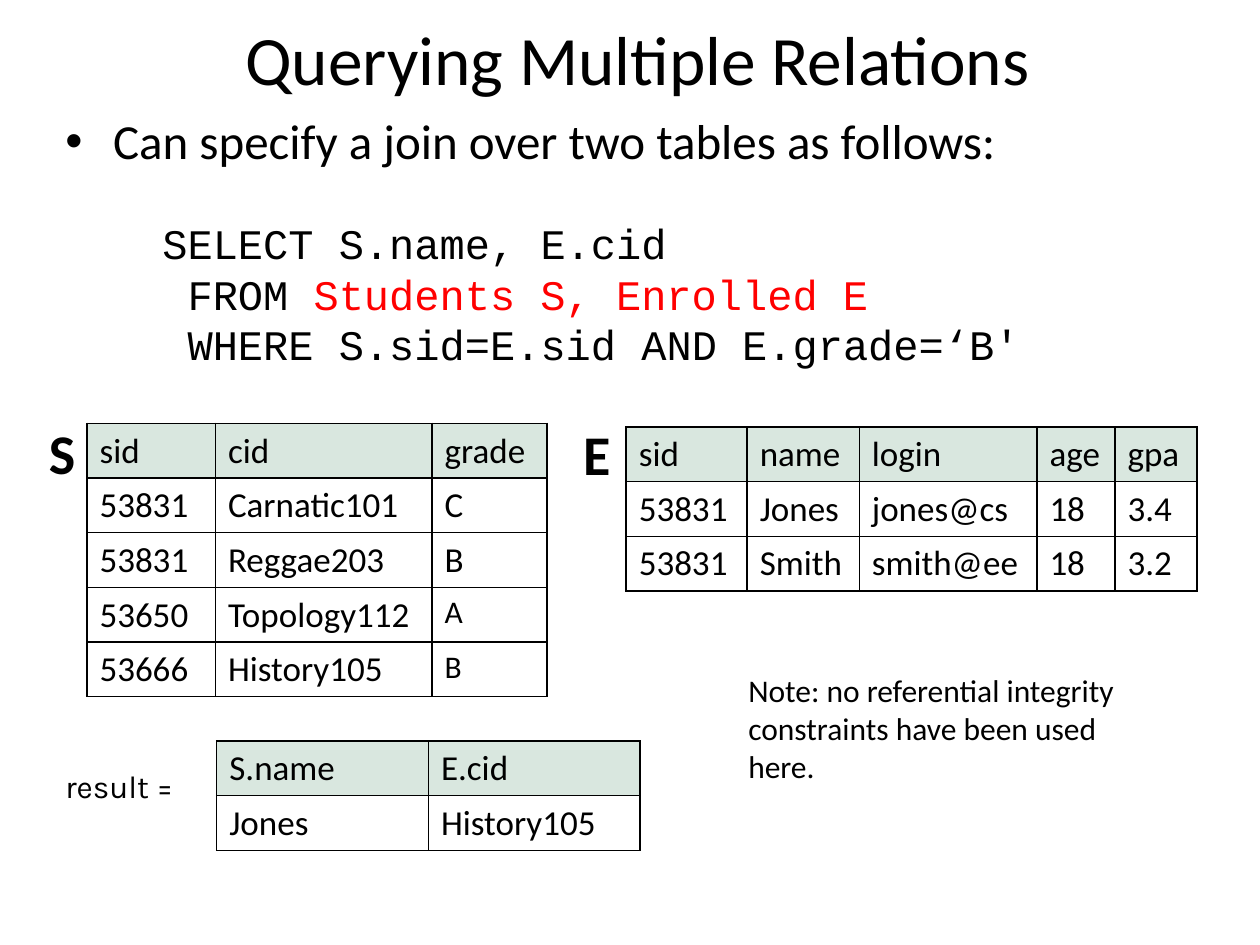
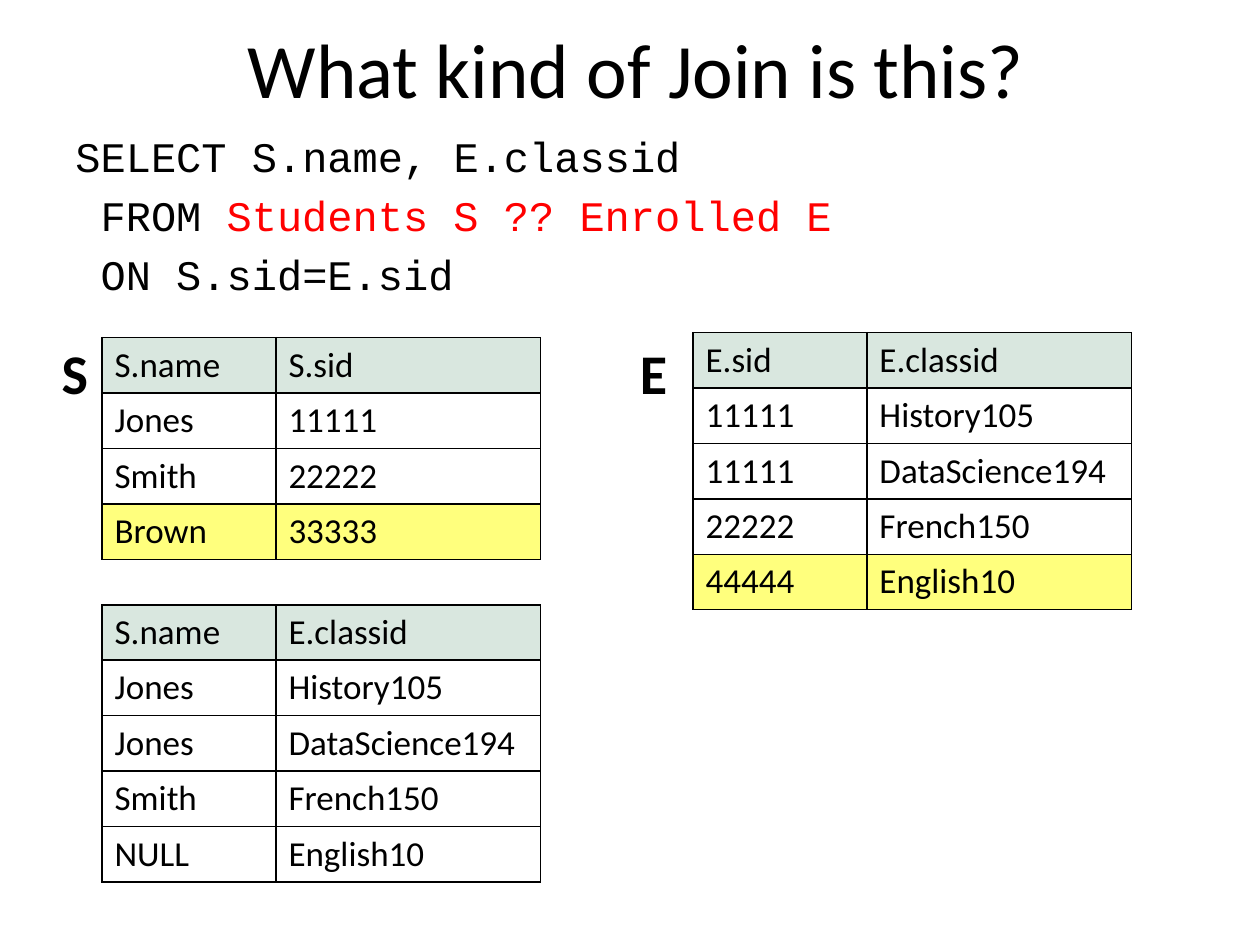
from dataclasses import dataclass

import pptx
import pptx.dml.color
import pptx.enum.text
import pptx.oxml
import pptx.oxml.ns
import pptx.util
from pptx.util import Inches


@dataclass(frozen=True)
class Theme:
    """Colours, fonts and type sizes shared by both slides."""
    ink: str = "000000"
    accent: str = "FF0000"
    header: str = "D9E7DF"
    plain: str = "FFFFFF"
    highlight: str = "FFFF7D"
    font: str = "Calibri"
    code_font: str = "Courier New"
    result_font: str = "Karla"
    bullet_size: float = 28
    code_size: float = 24
    table_size: float = 20
    small_size: float = 18
    label_size: float = 32


def rgb(colour):
    return pptx.dml.color.RGBColor.from_string(colour)


class Deck:
    def __init__(self, theme):
        self.theme = theme
        self.presentation = pptx.Presentation()
        self.presentation.slide_width = Inches(10)
        self.presentation.slide_height = Inches(7.5)
        self.slide = None

    def style(self, paragraph, size, font=None, bold=False):
        paragraph.font.name = font or self.theme.font
        paragraph.font.size = pptx.util.Pt(size)
        paragraph.font.bold = bold
        paragraph.font.color.rgb = rgb(self.theme.ink)

    def add_slide(self, title, box, size):
        layout = self.presentation.slide_layouts.get_by_name("Title Only")
        self.slide = self.presentation.slides.add_slide(layout)
        heading = self.slide.shapes.title
        heading.left, heading.top, heading.width, heading.height = map(Inches, box)
        frame = heading.text_frame
        frame.text = title
        frame.auto_size = pptx.enum.text.MSO_AUTO_SIZE.NONE
        frame.vertical_anchor = pptx.enum.text.MSO_ANCHOR.MIDDLE
        frame.paragraphs[0].alignment = pptx.enum.text.PP_ALIGN.CENTER
        self.style(frame.paragraphs[0], size)

    def text(self, box, lines, size, font=None, bold=False, space_before=0):
        """Each line is a list of (text, colour or None) runs."""
        frame = self.slide.shapes.add_textbox(*map(Inches, box)).text_frame
        frame.word_wrap = True
        for number, line in enumerate(lines):
            paragraph = frame.add_paragraph() if number else frame.paragraphs[0]
            self.style(paragraph, size, font, bold)
            paragraph.space_before = pptx.util.Pt(space_before)
            for content, colour in line:
                run = paragraph.add_run()
                run.text = content
                if colour:
                    run.font.color.rgb = rgb(colour)
        return frame

    def note(self, box, content, font=None):
        self.text(box, [[(content, None)]], self.theme.small_size, font)

    def label(self, left, top, letter):
        self.text((left, top, 0.42, 0.64), [[(letter, None)]],
                  self.theme.label_size, bold=True)

    def bullet(self, box, content):
        size = self.theme.bullet_size
        frame = self.text(box, [[(content, None)]], size, space_before=size / 5)
        properties = frame.paragraphs[0]._p.get_or_add_pPr()
        properties.set("marL", str(Inches(0.38)))
        properties.set("indent", str(-Inches(0.38)))
        for tag, name, value in (("buFont", "typeface", "Arial"), ("buChar", "char", "•")):
            mark = pptx.oxml.ns.qn(f"a:{tag}")
            properties.append(properties.makeelement(mark, {name: value}))

    def query(self, box, select, tables, condition, space_before=0):
        lines = [[(select, None)],
                 [(" FROM ", None), (tables, self.theme.accent)],
                 [(condition, None)]]
        self.text(box, lines, self.theme.code_size, self.theme.code_font,
                  space_before=space_before)

    def border(self, cell):
        properties = cell._tc.get_or_add_tcPr()
        for side in "LRTB":
            properties.append(pptx.oxml.parse_xml(
                f'<a:ln{side} {pptx.oxml.ns.nsdecls("a")} w="12700"><a:solidFill>'
                f'<a:srgbClr val="{self.theme.ink}"/></a:solidFill></a:ln{side}>'))

    def table(self, left, top, widths, height, rows, marked_row=None, small_cells=()):
        """The first row is the header; marked_row is highlighted."""
        table = self.slide.shapes.add_table(
            len(rows), len(widths), Inches(left), Inches(top),
            Inches(sum(widths)), Inches(height)).table
        table.first_row = table.horz_banding = False
        for column, width in zip(table.columns, widths):
            column.width = Inches(width)
        fills = {0: self.theme.header, marked_row: self.theme.highlight}
        for r, row in enumerate(rows):
            for c, value in enumerate(row):
                cell = table.cell(r, c)
                cell.text = value
                cell.margin_bottom = Inches(0.04)
                small = (r, c) in small_cells
                self.style(cell.text_frame.paragraphs[0],
                           self.theme.small_size if small else self.theme.table_size)
                self.border(cell)
                cell.fill.solid()
                cell.fill.fore_color.rgb = rgb(fills.get(r, self.theme.plain))


def multiple_relations(deck):
    deck.add_slide(" Querying Multiple Relations", (0.5, 0.09, 9, 0.74), 39.6)
    deck.bullet((0.42, 0.83, 8.5, 0.6), "Can specify a join over two tables as follows:")
    deck.query((1.19, 1.68, 7.12, 1.31), "SELECT S.name, E.cid",
               "Students S, Enrolled E", " WHERE S.sid=E.sid AND E.grade=‘B'")

    # Query result and remark
    deck.note((0.42, 6.04, 1.37, 0.5), "result =", deck.theme.result_font)
    deck.note((5.84, 5.28, 3.25, 1.01),
              "Note: no referential integrity constraints have been used here.")
    deck.table(1.72, 5.88, (1.68, 1.68), 0.87,
               [("S.name", "E.cid"), ("Jones", "History105")])

    # Joined relations
    deck.table(0.69, 3.36, (1.02, 1.72, 0.91), 2.17,
               [("sid", "cid", "grade"),
                ("53831", "Carnatic101", "C"),
                ("53831", "Reggae203", "B"),
                ("53650", "Topology112", "A"),
                ("53666", "History105", "B")], small_cells={(3, 2), (4, 2)})
    deck.table(4.97, 3.39, (0.96, 0.89, 1.41, 0.62, 0.65), 1.3,
               [("sid", "name", "login", "age", "gpa"),
                ("53831", "Jones", "jones@cs", "18", "3.4"),
                ("53831", "Smith", "smith@ee", "18", "3.2")])
    deck.label(0.29, 3.27, "S")
    deck.label(4.53, 3.28, "E")


def kind_of_join(deck):
    deck.add_slide("What kind of Join is this?", (0.81, 0.08, 8.48, 0.91), 44)
    deck.query((0.5, 0.99, 9.19, 1.5), "SELECT S.name, E.classid",
               "Students S ?? Enrolled E", " ON S.sid=E.sid",
               space_before=deck.theme.code_size / 5)

    # Joined relations, with the unmatched rows highlighted
    widths = (1.38, 2.1)
    deck.table(0.81, 2.68, widths, 1.76,
               [("S.name", "S.sid"), ("Jones", "11111"),
                ("Smith", "22222"), ("Brown", "33333")], marked_row=3)
    deck.table(5.5, 2.64, widths, 2.2,
               [("E.sid", "E.classid"), ("11111", "History105"),
                ("11111", "DataScience194"), ("22222", "French150"),
                ("44444", "English10")], marked_row=4)
    deck.label(0.39, 2.64, "S")
    deck.label(4.98, 2.64, "E")

    # Join result
    deck.table(0.81, 4.8, widths, 2.2,
               [("S.name", "E.classid"), ("Jones", "History105"),
                ("Jones", "DataScience194"), ("Smith", "French150"),
                ("NULL", "English10")])


def main():
    deck = Deck(Theme())
    multiple_relations(deck)
    kind_of_join(deck)
    deck.presentation.save("out.pptx")


if __name__ == "__main__":
    main()
